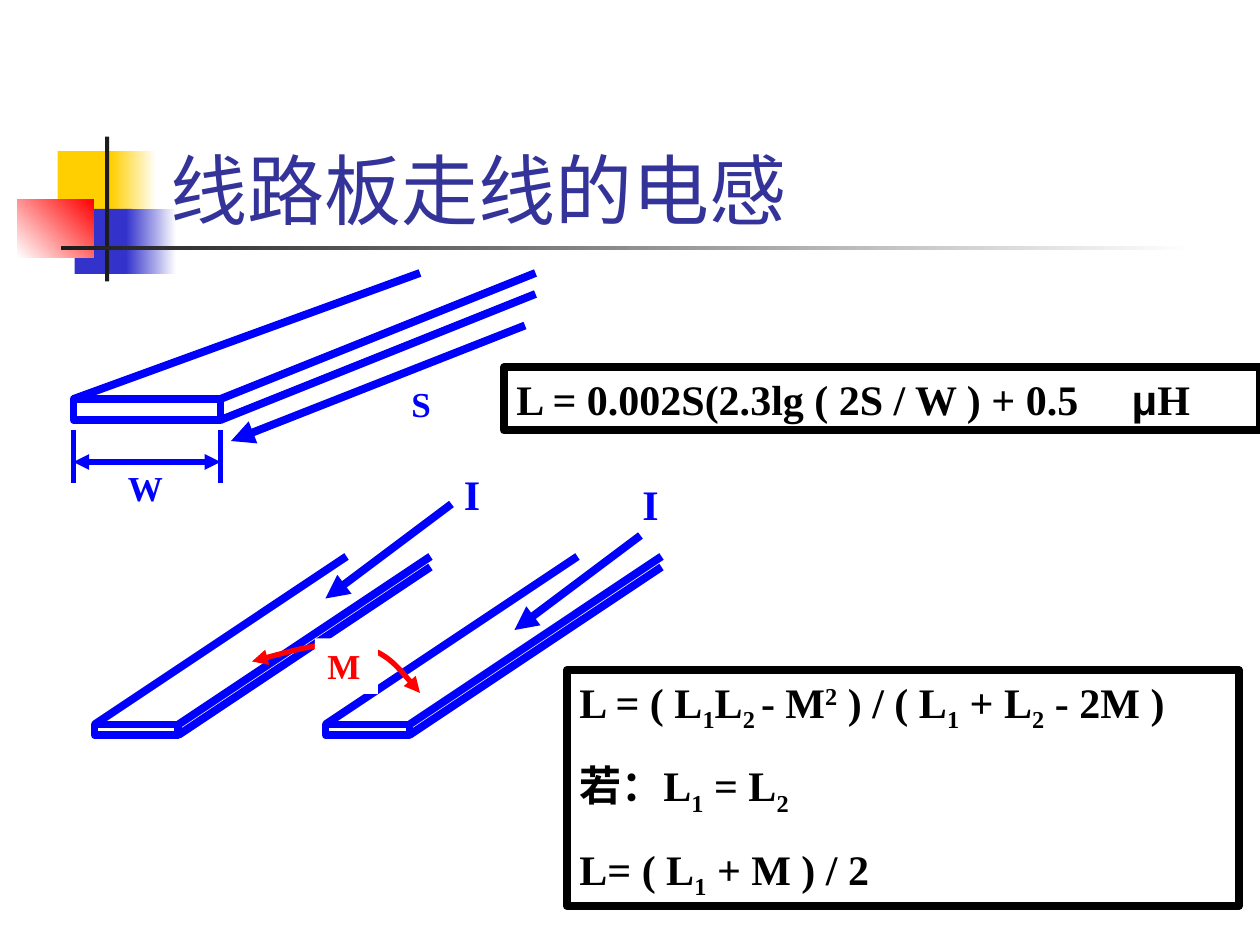
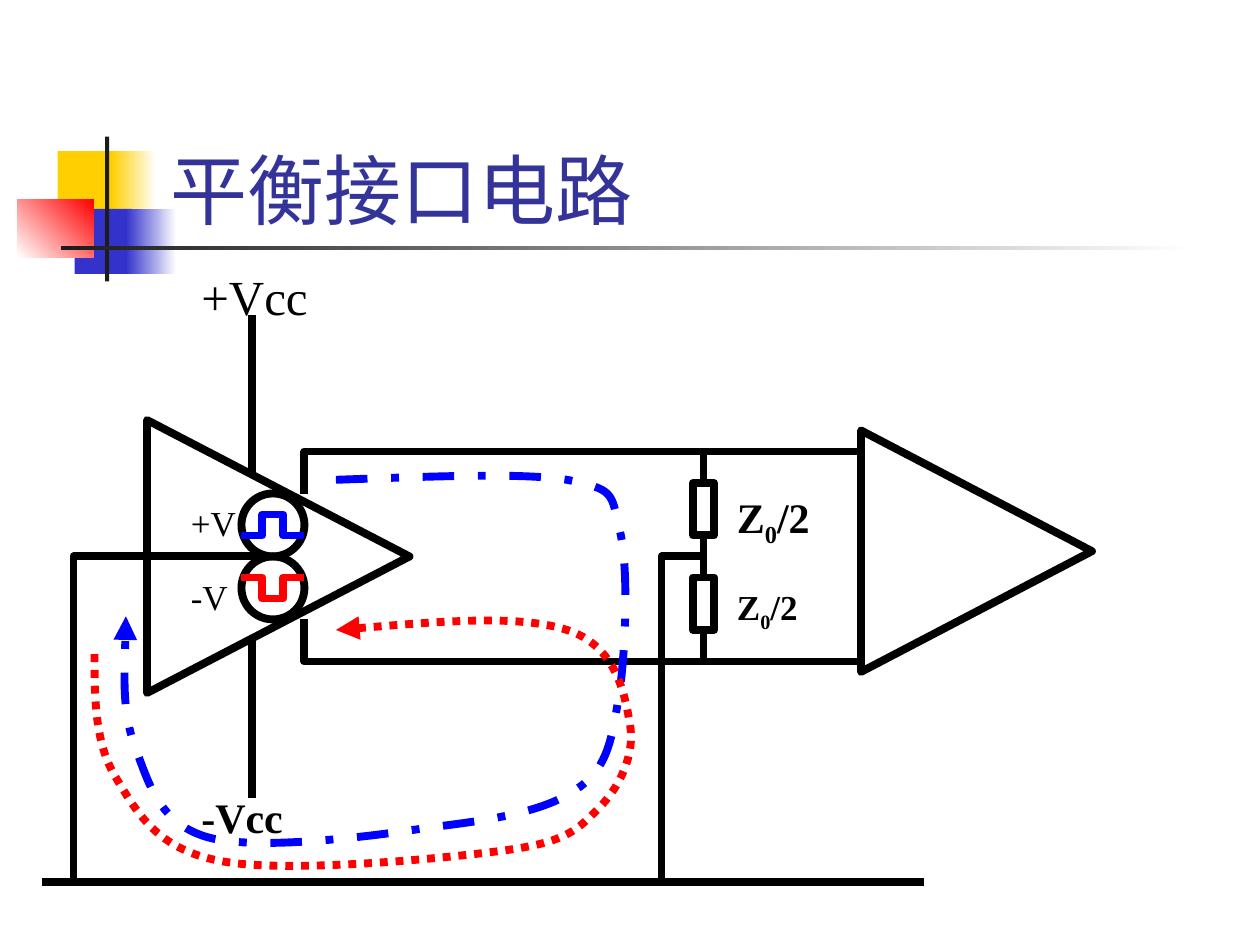
from lxml.etree import SubElement
from pptx import Presentation
from pptx.dml.color import RGBColor
from pptx.enum.dml import MSO_LINE
from pptx.enum.shapes import MSO_CONNECTOR, MSO_SHAPE
from pptx.enum.text import MSO_ANCHOR
from pptx.oxml.ns import qn
from pptx.util import Inches, Pt

# Grid: 12 cells to the inch, 120 columns by 90 rows
CELL = Inches(1) / 12
COLS, ROWS = 120, 90

BLACK = RGBColor(0x00, 0x00, 0x00)
WHITE = RGBColor(0xFF, 0xFF, 0xFF)
BLUE = RGBColor(0x00, 0x00, 0xFF)
RED = RGBColor(0xFF, 0x00, 0x00)
GOLD = RGBColor(0xFF, 0xCF, 0x01)
INDIGO = RGBColor(0x33, 0x33, 0xCC)
NAVY = RGBColor(0x33, 0x33, 0x99)
INK = RGBColor(0x1C, 0x1C, 0x1C)

SERIF, SANS, HEAD = "Times New Roman", "Arial", "Cabin"
THICK, THIN = 4.5, 3

BIG = {"name": SERIF, "size": Pt(24), "bold": True}
SMALL = {"name": SERIF, "size": Pt(20), "bold": True}
PLAIN = {"name": SERIF, "size": Pt(20), "bold": False}
SUPPLY = {"name": SERIF, "size": Pt(28), "bold": False}
TITLE = {"name": HEAD, "size": Pt(44), "bold": False}
FRAME = {"word_wrap": True,
         "margin_left": Inches(0.1), "margin_right": Inches(0.1),
         "margin_top": Inches(0.05), "margin_bottom": Inches(0.05)}
SHIFT = {"_": "-25000", "^": "30000"}


def apply(target, values):
    for name, value in values.items():
        setattr(target, name, value)


def style_line(shape, color, width=THICK, head=False, tail=False, dash=None):
    line = shape.line
    line.color.rgb = color
    line.width = Pt(width)
    if dash:
        line.dash_style = dash
    xml = shape.element.find(".//" + qn("a:ln"))
    for tag, wanted in (("a:headEnd", head), ("a:tailEnd", tail)):
        if wanted:
            SubElement(xml, qn(tag), type="triangle")


def fill_text(para, text, style, color):
    """Runs are split by |, and a first _, ^ or ~ marks sub, super or sans."""
    for part in text.split("|"):
        mark = part[0]
        run = para.add_run()
        run.text = part[1:] if mark in "_^~" else part
        apply(run.font, style)
        run.font.color.rgb = color
        if mark in SHIFT:
            run.font._element.set("baseline", SHIFT[mark])
        elif mark == "~":
            run.font.name = SANS


class Pen:
    """Draws in grid cells, counted from the corner of a region."""

    def __init__(self, slide, left=0, top=0):
        self.shapes = slide.shapes
        self.left, self.top = left, top

    def spot(self, x, y):
        return round((self.left + x) * CELL), round((self.top + y) * CELL)

    def area(self, x, y, w, h):
        return *self.spot(x, y), round(w * CELL), round(h * CELL)

    def shape(self, kind, box, color=None):
        shape = self.shapes.add_shape(kind, *self.area(*box))
        shape.shadow.inherit = False
        shape.fill.background()
        if color is not None:
            style_line(shape, color)
        else:
            shape.line.fill.background()
        return shape

    def block(self, box, *colors, angle=180):
        shape = self.shape(MSO_SHAPE.RECTANGLE, box)
        if len(colors) == 1:
            shape.fill.solid()
            shape.fill.fore_color.rgb = colors[0]
            return
        shape.fill.gradient()
        shape.fill.gradient_angle = angle
        for stop, color in zip(shape.fill.gradient_stops, colors):
            stop.color.rgb = color

    def wedge(self, x, y, w, h):
        """Triangle that points right and fills the given box."""
        gap = (w - h) / 2
        box = (x + gap, y - gap, h, w)
        self.shape(MSO_SHAPE.ISOSCELES_TRIANGLE, box, BLACK).rotation = 90

    def line(self, start, end, color=BLACK, width=THICK, **ends):
        line = self.shapes.add_connector(
            MSO_CONNECTOR.STRAIGHT, *self.spot(*start), *self.spot(*end))
        style_line(line, color, width, **ends)
        SubElement(line.element.spPr, qn("a:effectLst"))

    def wire(self, points, color=BLACK, width=THICK, curved=False, **ends):
        first, *rest = [self.spot(*point) for point in points]
        maker = self.shapes.build_freeform(*first)
        maker.add_line_segments(rest, close=False)
        shape = maker.convert_to_shape()
        shape.shadow.inherit = False
        shape.fill.background()
        style_line(shape, color, width, **ends)
        if curved:
            # Each three segments become one cubic curve
            route = shape.element.find(".//" + qn("a:path"))
            legs = route.findall(qn("a:lnTo"))
            for k in range(0, len(legs), 3):
                curve = SubElement(route, qn("a:cubicBezTo"))
                for leg in legs[k:k + 3]:
                    curve.append(leg[0])
                    route.remove(leg)

    def note(self, box, lines, style, color=BLACK, edge=None, back=None,
             tab=None, anchor=MSO_ANCHOR.TOP):
        shape = self.shapes.add_textbox(*self.area(*box))
        if edge is not None:
            style_line(shape, edge)
        if back is not None:
            shape.fill.solid()
            shape.fill.fore_color.rgb = back
        frame = shape.text_frame
        apply(frame, FRAME)
        frame.vertical_anchor = anchor
        for k, text in enumerate(lines):
            para = frame.add_paragraph() if k else frame.paragraphs[0]
            if k:
                para.space_before = Pt(15)
            if tab:
                stops = SubElement(para._p.get_or_add_pPr(), qn("a:tabLst"))
                SubElement(stops, qn("a:tab"), pos=str(round(tab * CELL)), algn="l")
            fill_text(para, text, style, color)


def add_base(deck, title):
    """Blank slide with the corner emblem, rule and title."""
    slide = deck.slides.add_slide(deck.slide_layouts[6])
    pen = Pen(slide)
    pen.block((5.5, 14.4, 5.8, 6.2), GOLD)
    pen.block((10.6, 14.4, 4.3, 6.2), WHITE, GOLD)
    pen.block((7.1, 19.9, 5.5, 6.2), INDIGO)
    pen.block((12, 19.9, 4.8, 6.2), WHITE, INDIGO)
    pen.block((1.65, 19, 7.3, 5.5), RED, WHITE, angle=225)
    pen.block((10, 13, 0.4, 13.8), INK)
    pen.block((5.8, 23.4, 108, 0.4), WHITE, INK)
    pen.note((15.1, 8, 102.2, 15), [title], TITLE, NAVY,
             anchor=MSO_ANCHOR.BOTTOM)
    return slide


# Slide 1 regions
def draw_trace(pen):
    pen.shape(MSO_SHAPE.RECTANGLE, (0, 12, 14, 2), BLUE)
    for start, end in (((0, 12), (33, 0)), ((14, 12), (44, 0)),
                       ((14, 14), (44, 2))):
        pen.line(start, end, BLUE)
    # Width mark
    for x in (0, 14):
        pen.line((x, 15), (x, 20), BLUE, THIN)
    pen.line((0, 18), (14, 18), BLUE, THIN, head=True, tail=True)
    pen.note((4, 17.8, 7, 5.3), ["W"], SMALL, BLUE)
    # Length mark
    pen.line((43, 5), (15, 16), BLUE, tail=True)
    pen.note((31, 9.8, 7, 5.3), ["S"], SMALL, BLUE)


def draw_pair(pen):
    for x in (0, 22):
        pen.shape(MSO_SHAPE.RECTANGLE, (x, 25, 8, 1), BLUE)
        for edge, y in ((0, 25), (8, 25), (8, 26)):
            pen.line((x + edge, y), (x + edge + 24, y - 16), BLUE)
    # Mutual inductance
    pen.wire([(15, 19), (18.7, 18), (22.3, 17), (25, 17.5),
              (27.7, 18), (29.3, 20), (31, 22)],
             RED, THIN, curved=True, head=True, tail=True)
    pen.note((21, 16.8, 6, 5.3), ["M"], SMALL, RED, back=WHITE)
    # Currents
    for k in range(2):
        x, y = 34 + 18 * k, 4 + 3 * k
        pen.line((x, y), (x - 12, y + 9), BLUE, tail=True)
        pen.note((34 + 17 * k, k, 5, 6), ["I"], BIG, BLUE)


def draw_rules(pen):
    pen.note((0, 0, 72, 6), ["L = 0.002S(2.3lg ( 2S / W ) + 0.5\t|~μ|H"],
             BIG, edge=BLACK, tab=58.6)
    pen.note((6, 28.8, 64, 22.5),
             ["L = ( L|_1|L|_2 |- M|^2| ) / ( L|_1| + L|_2| - 2M )",
              "若：L|_1| = L|_2",
              "L= ( L|_1| + M ) / 2"], BIG, edge=BLACK)


# Slide 2 regions
def draw_driver(pen):
    pen.wedge(0, 16, 25, 26)
    # Two sources with opposite pulses
    for y, base, peak, color in ((23, 27, 25, BLUE), (29, 31, 33, RED)):
        pen.shape(MSO_SHAPE.OVAL, (9, y, 6, 6), BLACK)
        pen.wire([(9, base), (11, base), (11, peak), (13, peak),
                  (13, base), (15, base)], color)
    pen.note((3, 23.2, 7, 5.3), ["+V"], PLAIN)
    pen.note((3, 30.2, 7, 5.3), ["-V"], PLAIN)
    # Supplies
    for y in (6, 37):
        pen.line((10, y), (10, y + 15))
    pen.note((4, 0.8, 13, 6.8), ["+Vcc"], SUPPLY)
    pen.note((4, 50.8, 13, 6), ["-Vcc"], BIG)


def draw_wires(pen):
    for near, far in ((4, 0), (16, 20)):
        pen.wire([(25, near), (25, far), (78, far)])
    for start, turn in ((21, 3), (63, 59)):
        pen.wire([(start, 10), (turn, 10), (turn, 41)])
    pen.line((0, 41), (84, 41))


def draw_load(pen):
    for y in (3, 12):
        pen.shape(MSO_SHAPE.RECTANGLE, (0, y, 2, 5), BLACK)
    for top, end in ((0, 3), (8, 12), (17, 20)):
        pen.line((1, top), (1, end))
    pen.note((3, 3.2, 13, 6.7), ["Z|_0|/2"], BIG)
    pen.note((3, 12.2, 9, 5.8), ["Z|_0|/2"], SMALL)
    pen.wedge(16, -2, 22, 23)


def draw_loops(pen):
    pen.wire([(23, 0.7), (31.8, 0.4), (40.6, 0), (45, 0.7),
              (49.6, 1.6), (49.2, 2), (50, 5.4),
              (50.9, 8.8), (50.6, 16.8), (50, 21),
              (49.3, 25.1), (49, 28.1), (46, 30.1),
              (43, 32.3), (37.8, 33.1), (32, 33.8),
              (26.2, 34.7), (15.7, 36), (11, 34.8),
              (6.4, 33.6), (5.3, 30), (4, 26.5),
              (2.6, 22.9), (2.9, 18.4), (3, 13.7)],
             BLUE, curved=True, tail=True, dash=MSO_LINE.DASH_DOT)
    pen.wire([(23, 15), (31.7, 14.3), (40.3, 13.5), (45, 15),
              (49.7, 16.5), (50.5, 21.1), (51, 24),
              (51.5, 26.9), (50, 30), (48, 32),
              (46, 34), (45, 35.2), (39, 36),
              (33, 36.8), (18.1, 38.2), (12, 37),
              (5.9, 35.9), (4, 32.3), (2, 29),
              (0, 25.7), (0, 21.4), (0, 17)],
             RED, curved=True, head=True, dash=MSO_LINE.ROUND_DOT)


def main():
    deck = Presentation()
    deck.slide_width = round(COLS * CELL)
    deck.slide_height = round(ROWS * CELL)

    slide = add_base(deck, "线路板走线的电感")
    draw_trace(Pen(slide, 7, 26))
    draw_pair(Pen(slide, 9, 44))
    draw_rules(Pen(slide, 48, 35))

    slide = add_base(deck, "平衡接口电路")
    draw_driver(Pen(slide, 14, 24))
    draw_wires(Pen(slide, 4, 43))
    draw_load(Pen(slide, 66, 43))
    draw_loops(Pen(slide, 9, 45))

    deck.save("out.pptx")


if __name__ == "__main__":
    main()
